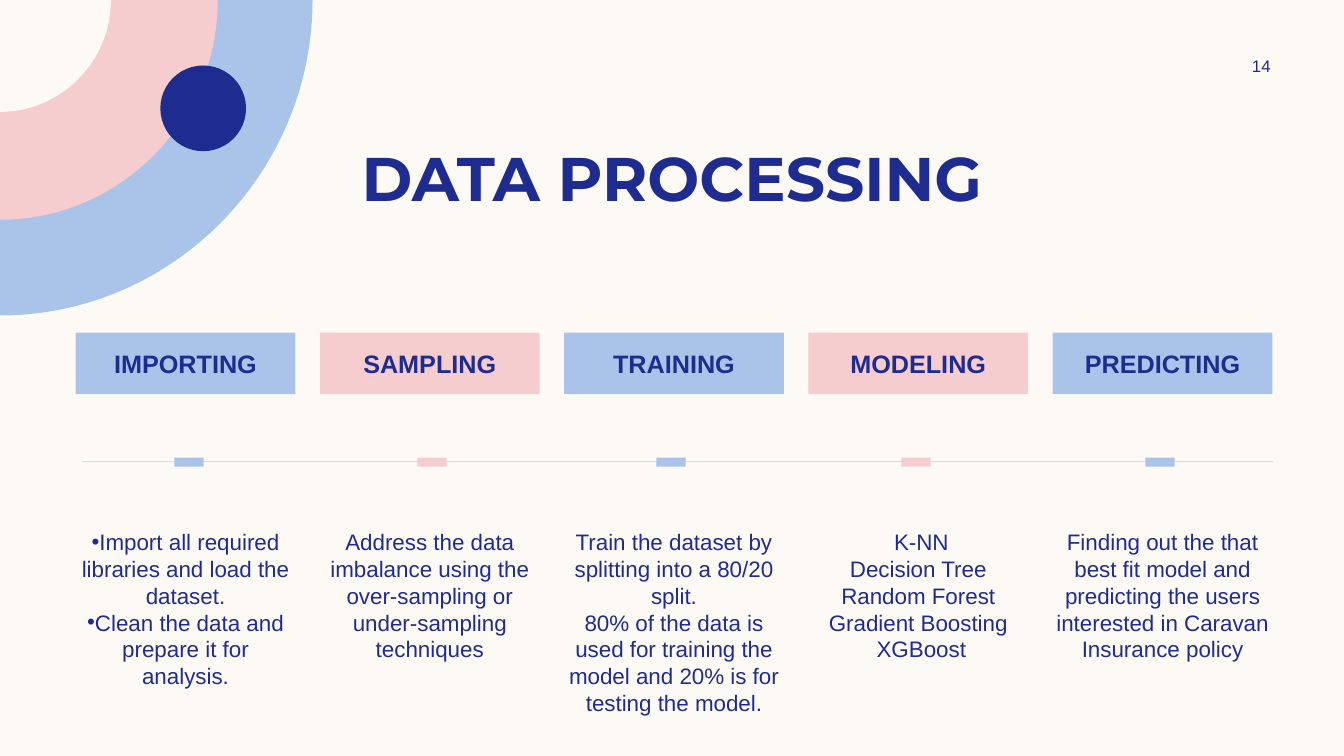
import pptx
import pptx.dml.color
import pptx.enum.shapes
import pptx.enum.text
import pptx.oxml
import pptx.oxml.ns
import pptx.util
from pptx.util import Inches

NAVY, BLUE, PINK, CREAM, RULE = "1F2C8F", "AAC3E8", "F5CDCE", "FDFAF6", "F2D1D1"
RECTANGLE = pptx.enum.shapes.MSO_SHAPE.RECTANGLE
OVAL = pptx.enum.shapes.MSO_SHAPE.OVAL
MIDDLE = pptx.enum.text.MSO_ANCHOR.MIDDLE
TOP = pptx.enum.text.MSO_ANCHOR.TOP
NAMESPACE = pptx.oxml.ns.nsdecls("a")
ARC_HANDLE = 0.55

STAGES = [
    ("IMPORTING", 1.87, True, ["Import all required libraries and load the dataset.",
                               "Clean the data and prepare it for analysis."]),
    ("SAMPLING", 4.28, False, ["Address the data imbalance using the over-sampling or "
                               "under-sampling techniques"]),
    ("TRAINING", 6.65, False, ["Train the dataset by splitting into a 80/20 split.",
                               "80% of the data is used for training the model and "
                               "20% is for testing the model."]),
    ("MODELING", 9.08, False, [" K-NN", "Decision Tree", "Random Forest",
                               "Gradient Boosting", " XGBoost"]),
    ("PREDICTING", 11.5, False, ["Finding out the that best fit model and predicting the "
                                 "users interested in Caravan Insurance policy"]),
]


def color(hex_value):
    return pptx.dml.color.RGBColor.from_string(hex_value)


def paint(shape, fill):
    shape.shadow.inherit = False
    shape.fill.solid()
    shape.fill.fore_color.rgb = color(fill)
    shape.line.fill.background()


def add_block(slide, kind, left, top, width, height, fill):
    block = slide.shapes.add_shape(
        kind, Inches(left), Inches(top), Inches(width), Inches(height))
    paint(block, fill)
    return block


def add_bullet(paragraph):
    properties = paragraph._p.get_or_add_pPr()
    properties.set("marL", "0")
    properties.set("indent", "0")
    for element in ('buFont', 'typeface="Arial"'), ('buChar', 'char="•"'):
        tag, attribute = element
        properties.append(pptx.oxml.parse_xml(f"<a:{tag} {NAMESPACE} {attribute}/>"))


def write(frame, lines, size, font="Arial", bold=False, anchor=MIDDLE,
          side=0.0, edge=0.0, bulleted=False):
    frame.text = "\n".join(lines)
    frame.word_wrap = True
    frame.auto_size = pptx.enum.text.MSO_AUTO_SIZE.NONE
    frame.vertical_anchor = anchor
    frame.margin_left = frame.margin_right = Inches(side)
    frame.margin_top = frame.margin_bottom = Inches(edge)
    for paragraph in frame.paragraphs:
        paragraph.alignment = pptx.enum.text.PP_ALIGN.CENTER
        paragraph.line_spacing = 1.0
        if bulleted:
            add_bullet(paragraph)
        for run in paragraph.runs:
            run.font.name = font
            run.font.size = pptx.util.Pt(size)
            run.font.bold = bold
            run.font.color.rgb = color(NAVY)


def add_quarter_disc(slide, left, top, width, height, fill):
    outline = slide.shapes.build_freeform(Inches(left), Inches(top))
    outline.add_line_segments([(Inches(left + width), Inches(top)),
                               (Inches(left), Inches(top + height))], close=True)
    disc = outline.convert_to_shape()
    chord = disc._element.findall(".//" + pptx.oxml.ns.qn("a:lnTo"))[1]
    curve = [(width, height * ARC_HANDLE), (width * ARC_HANDLE, height), (0, height)]
    points = "".join(f'<a:pt x="{Inches(x)}" y="{Inches(y)}"/>' for x, y in curve)
    chord.getparent().replace(chord, pptx.oxml.parse_xml(
        f"<a:cubicBezTo {NAMESPACE}>{points}</a:cubicBezTo>"))
    paint(disc, fill)


def add_corner_art(slide, left, top):
    for width, height, fill in [(3.1, 3.13, BLUE), (2.16, 2.18, PINK), (1.1, 1.11, CREAM)]:
        add_quarter_disc(slide, left, top, width, height, fill)
    add_block(slide, OVAL, left + 1.59, top + 0.65, 0.85, 0.85, NAVY)


def add_heading(slide, left, top, width, height):
    title = slide.shapes.title
    title.left, title.top = Inches(left), Inches(top)
    title.width, title.height = Inches(width), Inches(height)
    write(title.text_frame, ["DATA PROCESSING"], 44, "Montserrat", True,
          side=0.1, edge=0.05)


def add_page_number(slide, left, top, width, height):
    number = slide.shapes.add_textbox(
        Inches(left), Inches(top), Inches(width), Inches(height))
    write(number.text_frame, ["14"], 12, side=0.1, edge=0.05)


def add_timeline(slide, left, top, width, height):
    axis_y = top + 1.28
    axis = slide.shapes.add_connector(
        pptx.enum.shapes.MSO_CONNECTOR.STRAIGHT,
        Inches(left + 0.06), Inches(axis_y), Inches(left + width + 0.01), Inches(axis_y))
    axis.line.color.rgb = color(RULE)
    axis.line.width = pptx.util.Pt(1)
    axis._element.spPr.append(pptx.oxml.parse_xml(f"<a:effectLst {NAMESPACE}/>"))

    stage_width = 2.18
    pitch = (width - stage_width) / (len(STAGES) - 1)
    for index, (name, marker_x, bulleted, details) in enumerate(STAGES):
        stage_left = left + index * pitch
        fill = (BLUE, PINK)[index % 2]
        label = add_block(slide, RECTANGLE, stage_left, top, stage_width, 0.61, fill)
        write(label.text_frame, [name], 18, bold=True)
        add_block(slide, RECTANGLE, marker_x - 0.14, axis_y - 0.04, 0.29, 0.09, fill)
        description = slide.shapes.add_textbox(
            Inches(stage_left), Inches(top + 1.89), Inches(stage_width),
            Inches(height - 1.89))
        write(description.text_frame, details, 16, anchor=TOP, edge=0.05,
              bulleted=bulleted)


def main():
    deck = pptx.Presentation()
    deck.slide_width, deck.slide_height = Inches(13.33), Inches(7.5)
    slide = deck.slides.add_slide(deck.slide_layouts[5])
    slide.background.fill.solid()
    slide.background.fill.fore_color.rgb = color(CREAM)
    add_corner_art(slide, 0, 0)
    add_heading(slide, 0.83, 1.33, 11.67, 0.84)
    add_page_number(slide, 11.97, 0.5, 1.08, 0.3)
    add_timeline(slide, 0.75, 3.3, 11.87, 3.8)
    deck.save("out.pptx")


if __name__ == "__main__":
    main()
